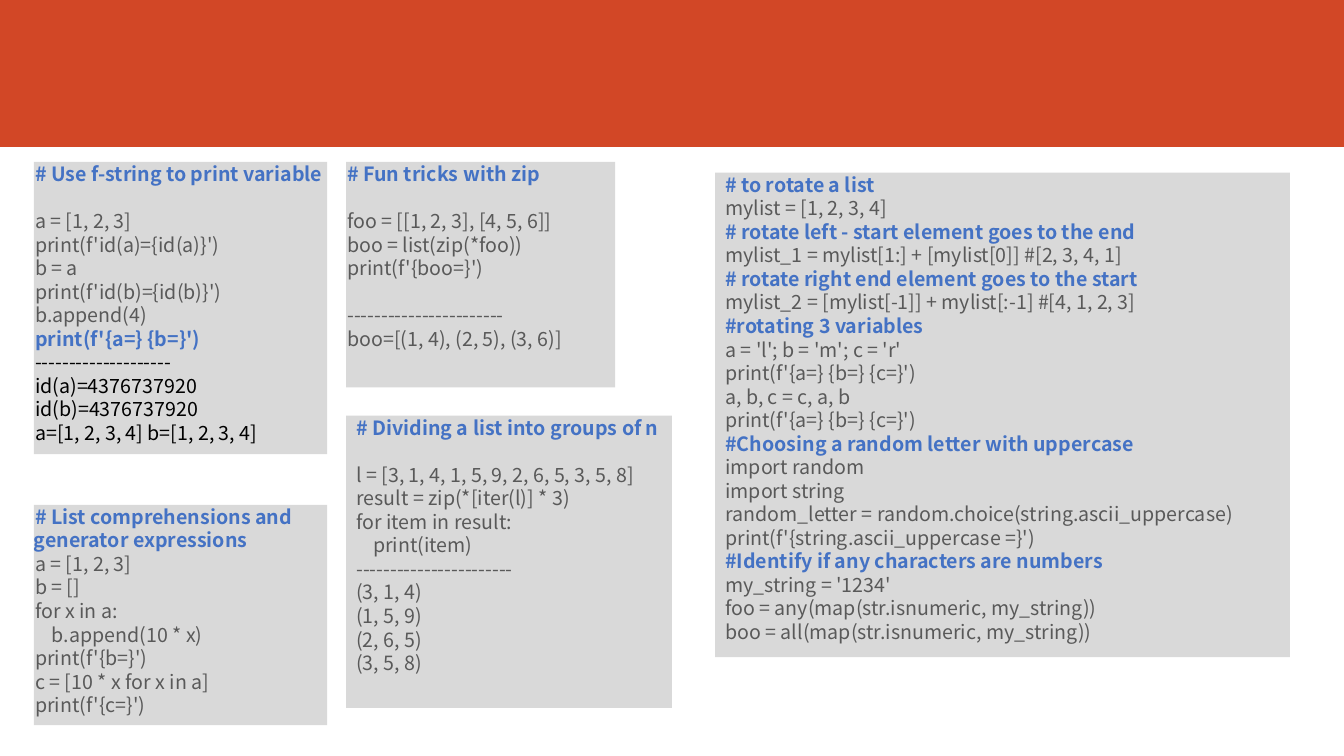
from dataclasses import dataclass

from pptx import Presentation
from pptx.dml.color import RGBColor as Rgb
from pptx.enum.shapes import MSO_SHAPE as Kind
from pptx.enum.text import MSO_ANCHOR as Anchor, PP_ALIGN as Align
from pptx.util import Pt


@dataclass(frozen=True)
class Theme:
    font: str = "Noto Sans CJK TC"
    size: float = 14
    pitch: float = 1.0    # line spacing, as a share of the font's own
    gap: float = 16.8     # height of one skipped line
    step: float = 12      # depth of one code indent
    banner: str = "D24726"
    panel: str = "D9D9D9"
    head: str = "4472C4"
    code: str = "595959"
    out: str = "000000"


class Deck:
    def __init__(self, theme, wide, high):
        self.theme = theme
        self.prs = Presentation()
        self.prs.slide_width, self.prs.slide_height = Pt(wide), Pt(high)
        self.slide = self.prs.slides.add_slide(self.prs.slide_layouts[6])

    def rect(self, box, color):
        shape = self.slide.shapes.add_shape(Kind.RECTANGLE, *map(Pt, box))
        shape.shadow.inherit = False
        shape.fill.solid()
        shape.fill.fore_color.rgb = Rgb.from_string(color)
        shape.line.fill.background()
        return shape

    def panel(self, box, indent, parts):
        """Draw a code box; a blank line in a part becomes space above the next line."""
        frame = self.rect(box, self.theme.panel).text_frame
        frame.word_wrap = True
        frame.vertical_anchor = Anchor.TOP
        frame.margin_left = frame.margin_right = 0
        frame.margin_top = frame.margin_bottom = 0
        para, skip = frame.paragraphs[0], 0
        for color, text in parts:
            for line in text.split("\n"):
                if not line:
                    skip += self.theme.gap
                    continue
                if para.text:
                    para = frame.add_paragraph()
                self.line(para, line, color, indent, skip)
                skip = 0

    def line(self, para, text, color, indent, skip):
        para.text = text.lstrip()
        para.alignment = Align.LEFT
        para.line_spacing = self.theme.pitch
        para.space_before = Pt(skip)
        depth = (len(text) - len(para.text)) // 4
        first = Pt(indent + depth * self.theme.step)
        para._p.get_or_add_pPr().set("indent", str(first))
        font = para.runs[0].font
        font.name, font.size = self.theme.font, Pt(self.theme.size)
        font.bold = color == self.theme.head
        font.color.rgb = Rgb.from_string(color)


THEME = Theme()
HEAD, CODE, OUT = THEME.head, THEME.code, THEME.out

PANELS = [
    ((24.2, 115.7, 209.5, 208.8), 0.9, [
        (HEAD, "# Use f-string to print variable"),
        (CODE, """
a = [1, 2, 3]
print(f'id(a)={id(a)}')
b = a
print(f'id(b)={id(b)}')
b.append(4)"""),
        (HEAD, "print(f'{a=} {b=}')"),
        (OUT, """--------------------
id(a)=4376737920
id(b)=4376737920
a=[1, 2, 3, 4] b=[1, 2, 3, 4]"""),
    ]),
    ((24.2, 360.6, 209.5, 157.5), 0.9, [
        (HEAD, "# List comprehensions and generator expressions"),
        (CODE, """a = [1, 2, 3]
b = []
for x in a:
    b.append(10 * x)
print(f'{b=}')
c = [10 * x for x in a]
print(f'{c=}')"""),
    ]),
    ((247.2, 115.7, 192.2, 161), 0.9, [
        (HEAD, "# Fun tricks with zip"),
        (CODE, """
foo = [[1, 2, 3], [4, 5, 6]]
boo = list(zip(*foo))
print(f'{boo=}')

-----------------------
boo=[(1, 4), (2, 5), (3, 6)]"""),
    ]),
    ((247.2, 296.9, 232.7, 208.8), 7.3, [
        (HEAD, "# Dividing a list into groups of n"),
        (CODE, """
l = [3, 1, 4, 1, 5, 9, 2, 6, 5, 3, 5, 8]
result = zip(*[iter(l)] * 3)
for item in result:
    print(item)
-----------------------
(3, 1, 4)
(1, 5, 9)
(2, 6, 5)
(3, 5, 8)"""),
    ]),
    ((510.8, 123.4, 410.5, 346.1), 7.3, [
        (HEAD, "# to rotate a list"),
        (CODE, "mylist = [1, 2, 3, 4]"),
        (HEAD, "# rotate left - start element goes to the end"),
        (CODE, "mylist_1 = mylist[1:] + [mylist[0]] #[2, 3, 4, 1]"),
        (HEAD, "# rotate right end element goes to the start"),
        (CODE, "mylist_2 = [mylist[-1]] + mylist[:-1] #[4, 1, 2, 3]"),
        (HEAD, "#rotating 3 variables"),
        (CODE, """a = 'l'; b = 'm'; c = 'r'
print(f'{a=} {b=} {c=}')
a, b, c = c, a, b
print(f'{a=} {b=} {c=}')"""),
        (HEAD, "#Choosing a random letter with uppercase"),
        (CODE, """import random
import string
random_letter = random.choice(string.ascii_uppercase)
print(f'{string.ascii_uppercase =}')"""),
        (HEAD, "#Identify if any characters are numbers"),
        (CODE, """my_string = '1234'
foo = any(map(str.isnumeric, my_string))
boo = all(map(str.isnumeric, my_string))"""),
    ]),
]


def main():
    deck = Deck(THEME, 960, 540)
    deck.rect((0, 0, 960, 105), THEME.banner)
    for box, indent, parts in PANELS:
        deck.panel(box, indent, parts)
    deck.prs.save("out.pptx")


if __name__ == "__main__":
    main()
